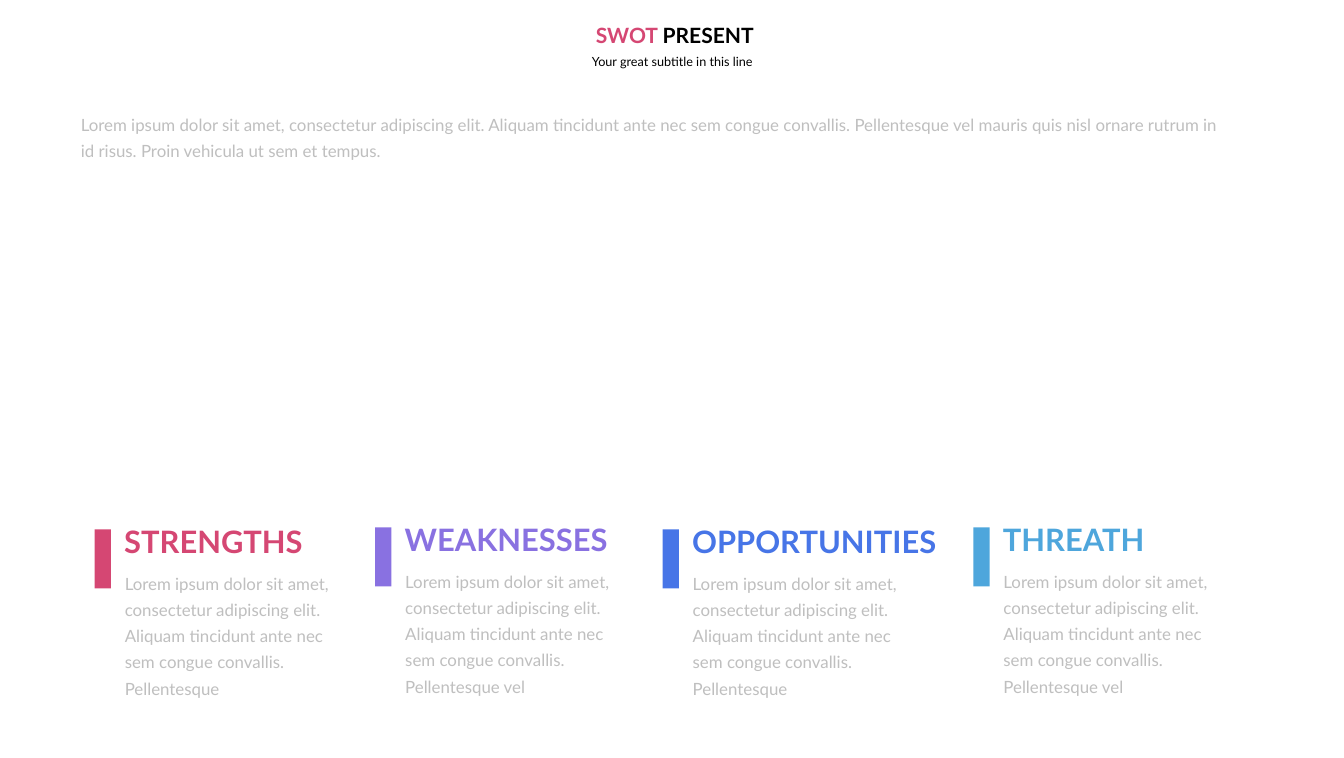
from pptx import Presentation
from pptx.dml.color import RGBColor
from pptx.enum.shapes import MSO_SHAPE
from pptx.enum.text import MSO_ANCHOR, MSO_AUTO_SIZE, PP_ALIGN
from pptx.util import Inches, Pt

BLACK = RGBColor(0x00, 0x00, 0x00)
GRAY = RGBColor(0xBF, 0xBF, 0xBF)
PINK = RGBColor(0xD5, 0x47, 0x73)
PURPLE = RGBColor(0x89, 0x71, 0xE1)
BLUE = RGBColor(0x47, 0x75, 0xE7)
SKY = RGBColor(0x4E, 0xA6, 0xDC)

LOREM = ("Lorem ipsum dolor sit amet, consectetur adipiscing elit. "
         "Aliquam tincidunt ante nec sem congue convallis. Pellentesque")
INTRO = LOREM + (" vel mauris quis nisl ornare rutrum in id risus. "
                 "Proin vehicula ut sem et tempus.")

# heading, color, body text, body left, body top, body width
COLUMNS = [
    ("STRENGTHS", PINK, LOREM, 2.2, 11.08, 5.06),
    ("WEAKNESSES", PURPLE, LOREM + " vel", 7.75, 11.04, 5.01),
    ("OPPORTUNITIES", BLUE, LOREM, 13.44, 11.08, 5.06),
    ("THREATH", SKY, LOREM + " vel", 19.59, 11.04, 5.01),
]


class Deck:
    font = "Lato"

    def __init__(self, width, height):
        self.file = Presentation()
        self.file.slide_width = Inches(width)
        self.file.slide_height = Inches(height)
        self.slide = self.file.slides.add_slide(self.file.slide_layouts[6])

    def group(self):
        return self.slide.shapes.add_group_shape().shapes

    def text(self, home, box, runs, size, pad=0.1, bold=False,
             anchor=MSO_ANCHOR.TOP, **para):
        """Add a text box; runs are (text, color) pairs, pad is the side inset."""
        frame = home.add_textbox(*map(Inches, box)).text_frame
        form = {
            "word_wrap": True,
            "auto_size": MSO_AUTO_SIZE.SHAPE_TO_FIT_TEXT,
            "vertical_anchor": anchor,
            "margin_left": Inches(pad),
            "margin_right": Inches(pad),
            "margin_top": Inches(pad / 2),
            "margin_bottom": Inches(pad / 2),
        }
        for name, value in form.items():
            setattr(frame, name, value)
        line = frame.paragraphs[0]
        for name, value in para.items():
            setattr(line, name, value)
        for words, color in runs:
            run = line.add_run()
            run.text = words
            style = {"name": self.font, "size": Pt(size), "bold": bold}
            for name, value in style.items():
                setattr(run.font, name, value)
            run.font.color.rgb = color

    def body(self, home, box, words):
        self.text(home, box, [(words, GRAY)], 24, pad=0.27,
                  anchor=MSO_ANCHOR.MIDDLE, line_spacing=1.3)

    def bar(self, home, box, color):
        shape = home.add_shape(MSO_SHAPE.RECTANGLE, *map(Inches, box))
        shape.rotation = 270
        shape.shadow.inherit = False
        shape.fill.solid()
        shape.fill.fore_color.rgb = color
        shape.line.fill.background()

    def column(self, head, color, words, left, top, width):
        """Add one SWOT column: body, heading and color bar."""
        home = self.group()
        self.body(home, (left, top, width, 2.89), words)
        self.text(home, (left + 0.16, top - 0.78, 5.52, 0.84),
                  [(head, color)], 44, bold=True)
        self.bar(home, (left - 0.75, top - 0.18, 1.17, 0.32), color)


def main():
    deck = Deck(26.6, 15)
    title = deck.group()
    deck.text(title, (9.22, 0.95, 8.17, 0.55),
              [("Your great subtitle in this line", BLACK)], 18,
              pad=0.24, alignment=PP_ALIGN.CENTER)
    deck.text(title, (8.3, 0.34, 10.11, 0.71),
              [("SWOT ", PINK), ("PRESENT", BLACK)], 30,
              pad=0.2, bold=True, alignment=PP_ALIGN.CENTER)
    for column in COLUMNS:
        deck.column(*column)
    deck.body(deck.slide.shapes, (1.33, 2.01, 23.14, 1.32), INTRO)
    deck.file.save("out.pptx")


if __name__ == "__main__":
    main()
